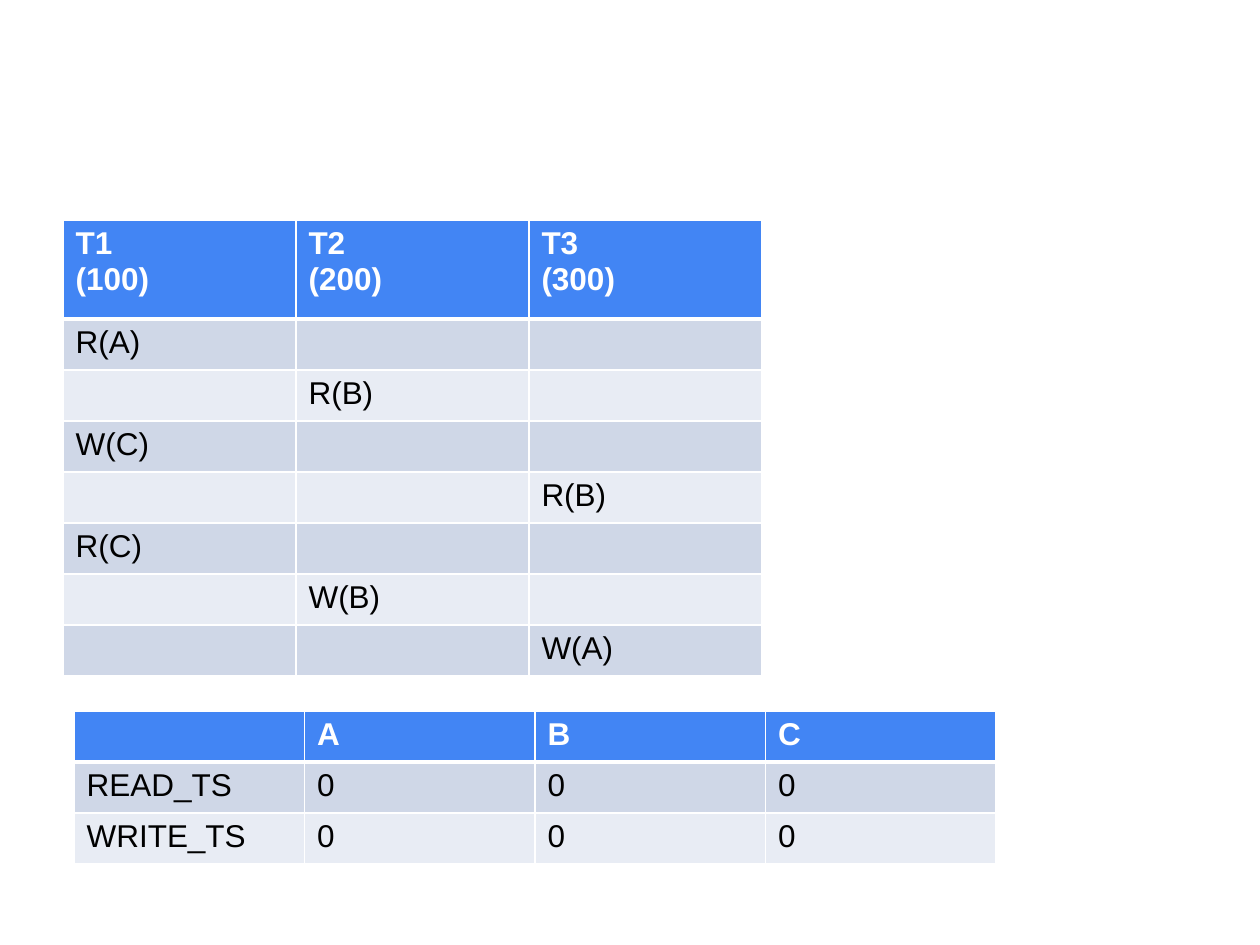
from pptx import Presentation
from pptx.dml.color import RGBColor
from pptx.oxml.ns import qn
from pptx.util import Pt
from lxml.etree import SubElement

SCALE = 914400 / 126
COLORS = {
    "head": "4285F4", "odd": "CFD7E7", "even": "E8ECF4",
    "light": "FFFFFF", "dark": "000000",
}
ROW = 51

STEPS = [
    ["T1\n(100)", "T2\n(200)", "T3\n(300)"],
    ["R(A)", "", ""],
    ["", "R(B)", ""],
    ["W(C)", "", ""],
    ["", "", "R(B)"],
    ["R(C)", "", ""],
    ["", "W(B)", ""],
    ["", "", "W(A)"],
]
STAMPS = [
    ["", "A", "B", "C"],
    ["READ_TS", "0", "0", "0"],
    ["WRITE_TS", "0", "0", "0"],
]


def px(size):
    return round(size * SCALE)


def rgb(name):
    return RGBColor.from_string(COLORS[name])


def edge(cell, row):
    """Draw white cell borders, with a thick rule below the header."""
    widths = {"lnL": 1, "lnR": 1, "lnT": 3 if row == 1 else 1, "lnB": 3 if row == 0 else 1}
    props = cell._tc.get_or_add_tcPr()
    for tag, width in widths.items():
        line = SubElement(props, qn(f"a:{tag}"), w=str(Pt(width)))
        fill = SubElement(line, qn("a:solidFill"))
        SubElement(fill, qn("a:srgbClr"), val=COLORS["light"])


def style(cell, text, row):
    edge(cell, row)
    cell.fill.solid()
    cell.fill.fore_color.rgb = rgb("head" if row == 0 else "odd" if row % 2 else "even")
    cell.text_frame.text = text
    for par in cell.text_frame.paragraphs:
        font = par.font
        font.name, font.size, font.bold = "Arial", Pt(18), row == 0
        font.color.rgb = rgb("light" if row == 0 else "dark")
        for run in par.runs:
            run.font.name, run.font.size, run.font.bold = "Arial", Pt(18), row == 0
            run.font.color.rgb = rgb("light" if row == 0 else "dark")


def grid(slide, data, left, top, wide, head):
    """Place a table with equal columns and a header row of its own height."""
    count, cols = len(data), len(data[0])
    high = head + ROW * (count - 1)
    table = slide.shapes.add_table(count, cols, px(left), px(top), px(wide), px(high)).table
    for col in table.columns:
        col.width = px(wide / cols)
    for row, texts in enumerate(data):
        table.rows[row].height = px(ROW if row else head)
        for col, text in enumerate(texts):
            style(table.cell(row, col), text, row)


def main():
    deck = Presentation()
    deck.slide_width, deck.slide_height = px(1260), px(945)
    slide = deck.slides.add_slide(deck.slide_layouts[6])
    grid(slide, STEPS, left=63, top=220, wide=699, head=99)
    grid(slide, STAMPS, left=74, top=711, wide=922, head=ROW)
    deck.save("out.pptx")


if __name__ == "__main__":
    main()
